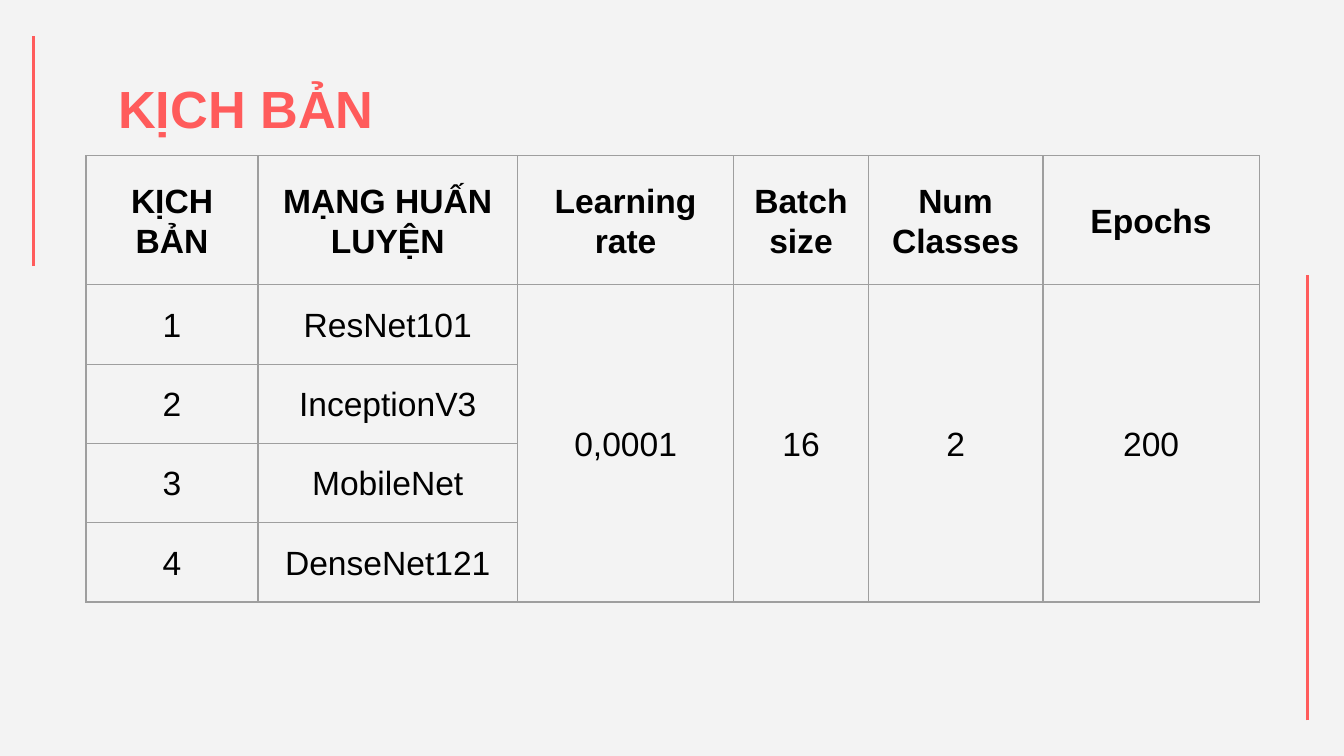
import pptx
import pptx.dml.color
import pptx.enum.shapes
import pptx.enum.text
import pptx.oxml
import pptx.oxml.ns
import pptx.util
from pptx.util import Inches

CORAL = pptx.dml.color.RGBColor(0xFF, 0x5B, 0x5B)
BLACK = pptx.dml.color.RGBColor(0, 0, 0)
BACKGROUND = pptx.dml.color.RGBColor(0xF3, 0xF3, 0xF3)
GRID = pptx.dml.color.RGBColor(0x9E, 0x9E, 0x9E)
ALIGN = pptx.enum.text.PP_ALIGN
ANCHOR = pptx.enum.text.MSO_ANCHOR


def write(frame, text, size=18, color=BLACK, bold=False, align=ALIGN.CENTER,
          line_spacing=1.07, space_after=8):
    frame.word_wrap = True
    frame.text = text
    paragraph = frame.paragraphs[0]
    paragraph.alignment = align
    paragraph.line_spacing = line_spacing
    paragraph.space_before = pptx.util.Pt(0)
    paragraph.space_after = pptx.util.Pt(space_after)
    font = paragraph.runs[0].font
    font.name = "Arial"
    font.size = pptx.util.Pt(size)
    font.bold = bold
    font.color.rgb = color


def add_borders(cell):
    properties = cell._tc.get_or_add_tcPr()
    for position, side in enumerate(("lnL", "lnR", "lnT", "lnB")):
        properties.insert(position, pptx.oxml.parse_xml(
            f'<a:{side} {pptx.oxml.ns.nsdecls("a")} w="{pptx.util.Pt(0.75)}">'
            f'<a:solidFill><a:srgbClr val="{GRID}"/></a:solidFill></a:{side}>'))


# Widescreen 16:9
presentation = pptx.Presentation()
presentation.slide_width = Inches(10)
presentation.slide_height = Inches(10) * 9 // 16
slide = presentation.slides.add_slide(presentation.slide_layouts[5])
slide.background.fill.solid()
slide.background.fill.fore_color.rgb = BACKGROUND

# Vertical accents at both edges
for x, start, end in ((0.25, 1.98, 0.27), (9.73, 5.36, 2.05)):
    accent = slide.shapes.add_connector(
        pptx.enum.shapes.MSO_CONNECTOR.STRAIGHT,
        Inches(x), Inches(start), Inches(x), Inches(end))
    accent.line.color.rgb = CORAL
    accent.line.width = pptx.util.Pt(1.5)
    accent._element.spPr.append(
        pptx.oxml.parse_xml(f'<a:effectLst {pptx.oxml.ns.nsdecls("a")}/>'))

# Title
title = slide.shapes.title
title.left, title.top = Inches(0.78), Inches(0.47)
title.width, title.height = Inches(8.44), Inches(0.51)
heading = title.text_frame
heading.margin_left = heading.margin_right = Inches(0.1)
heading.margin_top = heading.margin_bottom = Inches(0.1)
heading.vertical_anchor = ANCHOR.TOP
heading.auto_size = pptx.enum.text.MSO_AUTO_SIZE.NONE
write(heading, "KỊCH BẢN", size=28, color=CORAL, bold=True,
      align=ALIGN.LEFT, line_spacing=1.0, space_after=0)

# Training scenarios: the last four columns share one value for all networks
headers = ["KỊCH BẢN", "MẠNG HUẤN LUYỆN", "Learning rate", "Batch size",
           "Num Classes", "Epochs"]
networks = ["ResNet101", "InceptionV3", "MobileNet", "DenseNet121"]
shared_values = ["0,0001", "16", "2", "200"]
column_widths = [1.28, 1.93, 1.61, 1, 1.3, 1.61]
row_heights = [0.96] + [0.59] * len(networks)

scenarios = slide.shapes.add_table(
    len(row_heights), len(headers), Inches(0.64), Inches(1.16),
    Inches(sum(column_widths)), Inches(sum(row_heights))).table
scenarios.horz_banding = False
for column, width in zip(scenarios.columns, column_widths):
    column.width = Inches(width)
for row, height in zip(scenarios.rows, row_heights):
    row.height = Inches(height)

for cell in scenarios.iter_cells():
    cell.fill.background()
    cell.vertical_anchor = ANCHOR.MIDDLE
    cell.margin_left = cell.margin_right = Inches(0.07)
    cell.margin_top = cell.margin_bottom = 0
    add_borders(cell)

for index, header in enumerate(headers):
    write(scenarios.cell(0, index).text_frame, header, bold=True)
for number, network in enumerate(networks, start=1):
    write(scenarios.cell(number, 0).text_frame, str(number))
    write(scenarios.cell(number, 1).text_frame, network)
for index, value in enumerate(shared_values, start=2):
    shared = scenarios.cell(1, index)
    shared.merge(scenarios.cell(len(networks), index))
    write(shared.text_frame, value)

presentation.save("out.pptx")
